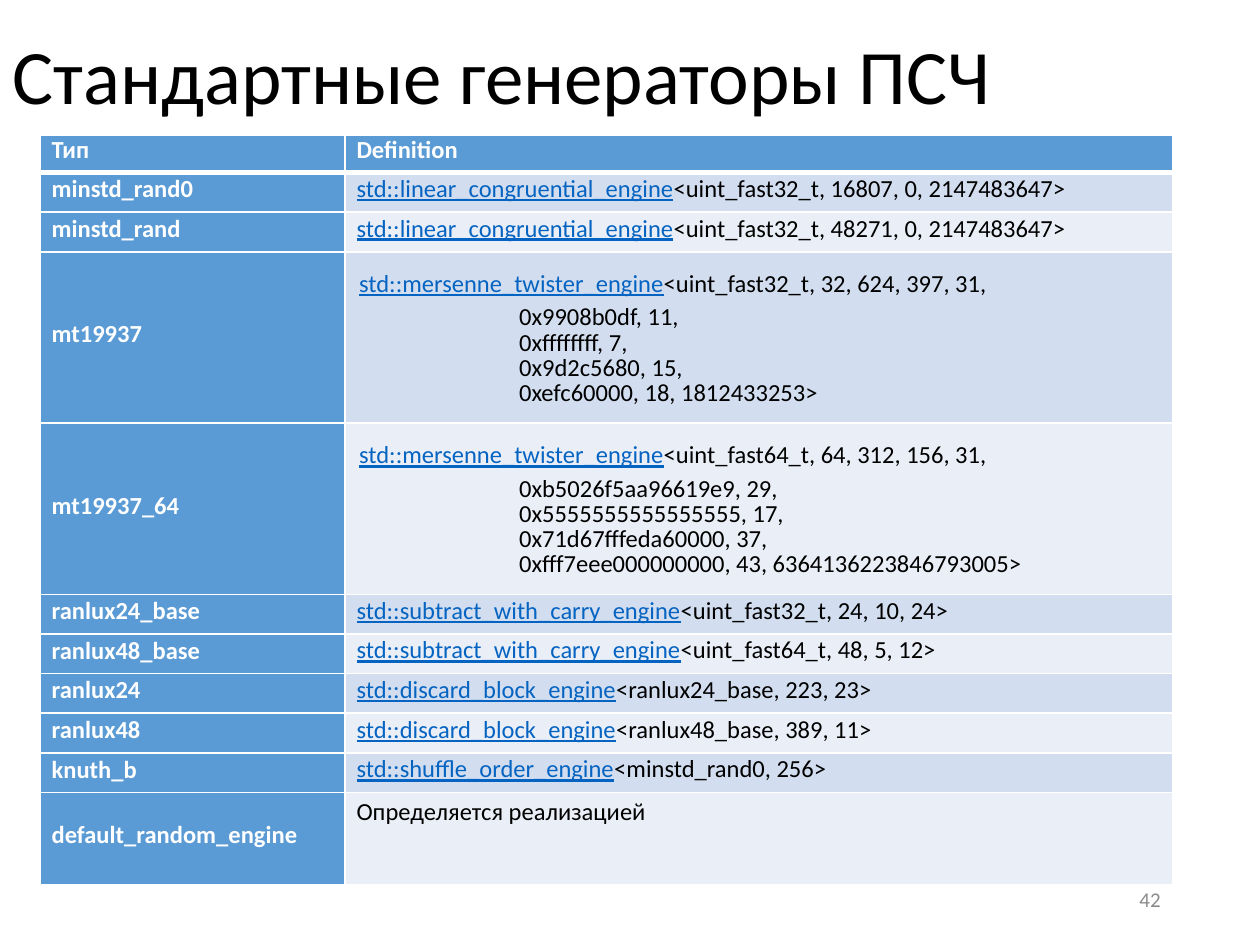
from dataclasses import dataclass

from lxml.etree import SubElement
from pptx import Presentation
from pptx.dml.color import RGBColor
from pptx.enum.text import MSO_ANCHOR as Anchor, PP_ALIGN as Align
from pptx.oxml.ns import qn
from pptx.util import Inches, Pt

FONT = "Calibri"
WHITE, BLACK, GREY = "FFFFFF", "000000", "8C8C8C"
HEADER, LINK = "5B9BD5", "0563C1"
BANDS = ("D2DEEF", "EAEFF7")
NBSP = "\u00a0"

TABLE_LEFT, TABLE_TOP, TABLE_HEIGHT = 0.32, 1.07, 5.95
COLUMN_WIDTHS = (2.42, 6.57)
HEADER_HEIGHT, TALL_HEIGHT, LAST_HEIGHT = 0.3, 1.36, 0.73
NAME_MARGINS = (0.09, 0.02, 0, 0.03)
DEFINITION_MARGINS = (0.09, 0.01, 0.01, 0.01)
LAST_MARGINS = (0.09, 0.09, 0.01, 0.01)


@dataclass(frozen=True)
class Generator:
    name: str
    engine: str
    arguments: str
    constants: tuple[str, ...] = ()


GENERATORS = (
    Generator("minstd_rand0", "std::linear_congruential_engine",
              "<uint_fast32_t, 16807, 0, 2147483647>"),
    Generator("minstd_rand", "std::linear_congruential_engine",
              "<uint_fast32_t, 48271, 0, 2147483647>"),
    Generator("mt19937", "std::mersenne_twister_engine",
              "<uint_fast32_t, 32, 624, 397, 31,",
              ("0x9908b0df, 11,", "0xffffffff, 7,", "0x9d2c5680, 15,",
               "0xefc60000, 18, 1812433253>")),
    Generator("mt19937_64", "std::mersenne_twister_engine",
              "<uint_fast64_t, 64, 312, 156, 31,",
              ("0xb5026f5aa96619e9, 29,", "0x5555555555555555, 17,",
               "0x71d67fffeda60000, 37,",
               "0xfff7eee000000000, 43, 6364136223846793005>")),
    Generator("ranlux24_base", "std::subtract_with_carry_engine",
              "<uint_fast32_t, 24, 10, 24>"),
    Generator("ranlux48_base", "std::subtract_with_carry_engine",
              "<uint_fast64_t, 48, 5, 12>"),
    Generator("ranlux24", "std::discard_block_engine", "<ranlux24_base, 223, 23>"),
    Generator("ranlux48", "std::discard_block_engine", "<ranlux48_base, 389, 11>"),
    Generator("knuth_b", "std::shuffle_order_engine", "<minstd_rand0, 256>"),
    Generator("default_random_engine", "", "Определяется реализацией"),
)


def color(value: str) -> RGBColor:
    return RGBColor.from_string(value)


def style(para, size: float, ink: str, bold: bool = False) -> None:
    para.font.name = FONT
    para.font.size = Pt(size)
    para.font.bold = bold
    para.font.color.rgb = color(ink)


def add_text(page, bounds: tuple, text: str, size: float, ink: str, align) -> None:
    box = page.shapes.add_textbox(*map(Inches, bounds))
    frame = box.text_frame
    frame.word_wrap = True
    frame.vertical_anchor = Anchor.MIDDLE
    para = frame.paragraphs[0]
    para.text = text
    para.alignment = align
    para.line_spacing = 0.9
    style(para, size, ink)


def set_borders(cell, top: float, bottom: float) -> None:
    properties = cell._tc.get_or_add_tcPr()
    for side, width in (("lnL", 1), ("lnR", 1), ("lnT", top), ("lnB", bottom)):
        line = SubElement(properties, qn(f"a:{side}"), w=str(Pt(width)))
        fill = SubElement(line, qn("a:solidFill"))
        SubElement(fill, qn("a:srgbClr"), val=WHITE)


def prepare_cell(cell, row: int, fill: str, margins: tuple) -> None:
    set_borders(cell, 3 if row == 1 else 1, 3 if row == 0 else 1)
    cell.fill.solid()
    cell.fill.fore_color.rgb = color(fill)
    cell.vertical_anchor = Anchor.MIDDLE
    (cell.margin_left, cell.margin_top,
     cell.margin_right, cell.margin_bottom) = map(Inches, margins)


def fill_label(cell, row: int, text: str) -> None:
    prepare_cell(cell, row, HEADER, NAME_MARGINS)
    para = cell.text_frame.paragraphs[0]
    para.text = text
    para.line_spacing = Pt(14.4 if row else 13.2)
    style(para, 14, WHITE, bold=True)


def indent(para, left: float) -> None:
    properties = para._p.get_or_add_pPr()
    properties.set("marL", str(Inches(left)))
    properties.set("indent", "0")


def fill_definition(cell, row: int, generator: Generator) -> None:
    margins = DEFINITION_MARGINS if generator.engine else LAST_MARGINS
    prepare_cell(cell, row, BANDS[(row - 1) % 2], margins)
    if not generator.engine:
        cell.vertical_anchor = Anchor.TOP
    para = cell.text_frame.paragraphs[0]
    style(para, 14, BLACK)
    para.line_spacing = 1.07 if generator.constants else Pt(13.2)
    arguments = generator.arguments
    if generator.engine:
        span = para.add_run()
        span.text = generator.engine
        span.font.underline = True
        span.font.color.rgb = color(LINK)
        arguments = arguments.replace(" ", NBSP)
    para.add_run().text = arguments
    if generator.constants:
        indent(para, 0.02)
        tail = cell.text_frame.add_paragraph()
        tail.text = "\v".join(generator.constants).replace(" ", NBSP)
        tail.line_spacing = Pt(14.4)
        tail.space_before = Pt(4.8)
        tail.space_after = Pt(6)
        indent(tail, 1.29)
        style(tail, 14, BLACK)


def row_heights() -> list[float]:
    tall = sum(bool(generator.constants) for generator in GENERATORS)
    short = len(GENERATORS) - tall - 1
    rest = TABLE_HEIGHT - HEADER_HEIGHT - LAST_HEIGHT - tall * TALL_HEIGHT
    body = [TALL_HEIGHT if generator.constants else rest / short
            for generator in GENERATORS[:-1]]
    return [HEADER_HEIGHT, *body, LAST_HEIGHT]


def add_generator_table(page) -> None:
    heights = row_heights()
    bounds = (TABLE_LEFT, TABLE_TOP, sum(COLUMN_WIDTHS), TABLE_HEIGHT)
    table = page.shapes.add_table(len(heights), 2, *map(Inches, bounds)).table
    table.horz_banding = False
    for column, width in zip(table.columns, COLUMN_WIDTHS):
        column.width = Inches(width)
    for row, height in zip(table.rows, heights):
        row.height = Inches(height)
    for column, text in enumerate(("Тип", "Definition")):
        fill_label(table.cell(0, column), 0, text)
    for row, generator in enumerate(GENERATORS, start=1):
        fill_label(table.cell(row, 0), row, generator.name)
        fill_definition(table.cell(row, 1), row, generator)


deck = Presentation()
deck.slide_width, deck.slide_height = Inches(10), Inches(7.5)
page = deck.slides.add_slide(deck.slide_layouts[6])
add_text(page, (0, 0.19, 9.42, 0.88), "Стандартные генераторы ПСЧ", 44, BLACK, Align.LEFT)
add_text(page, (7.06, 6.95, 2.25, 0.4), "42", 12, GREY, Align.RIGHT)
add_generator_table(page)
deck.save("out.pptx")
